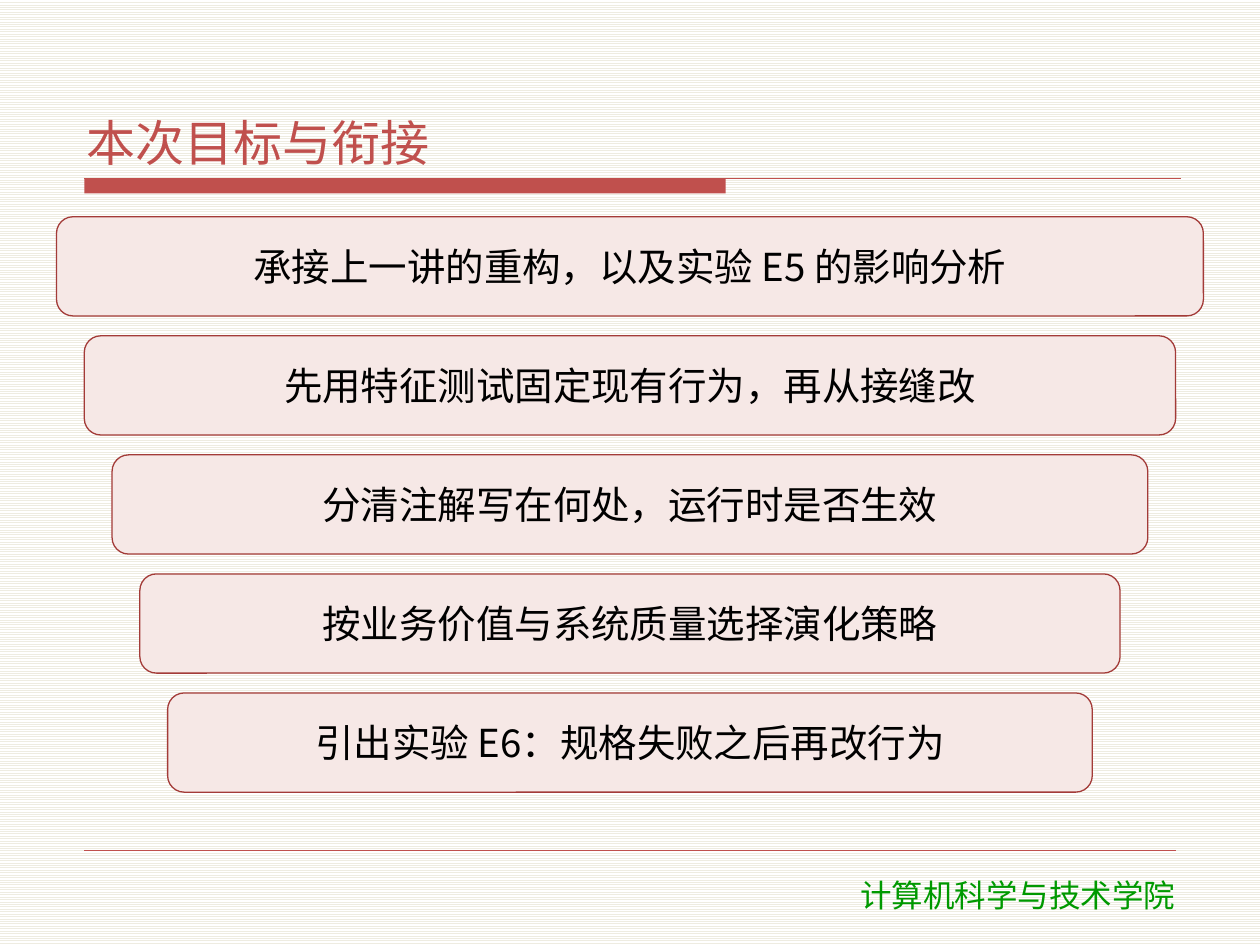
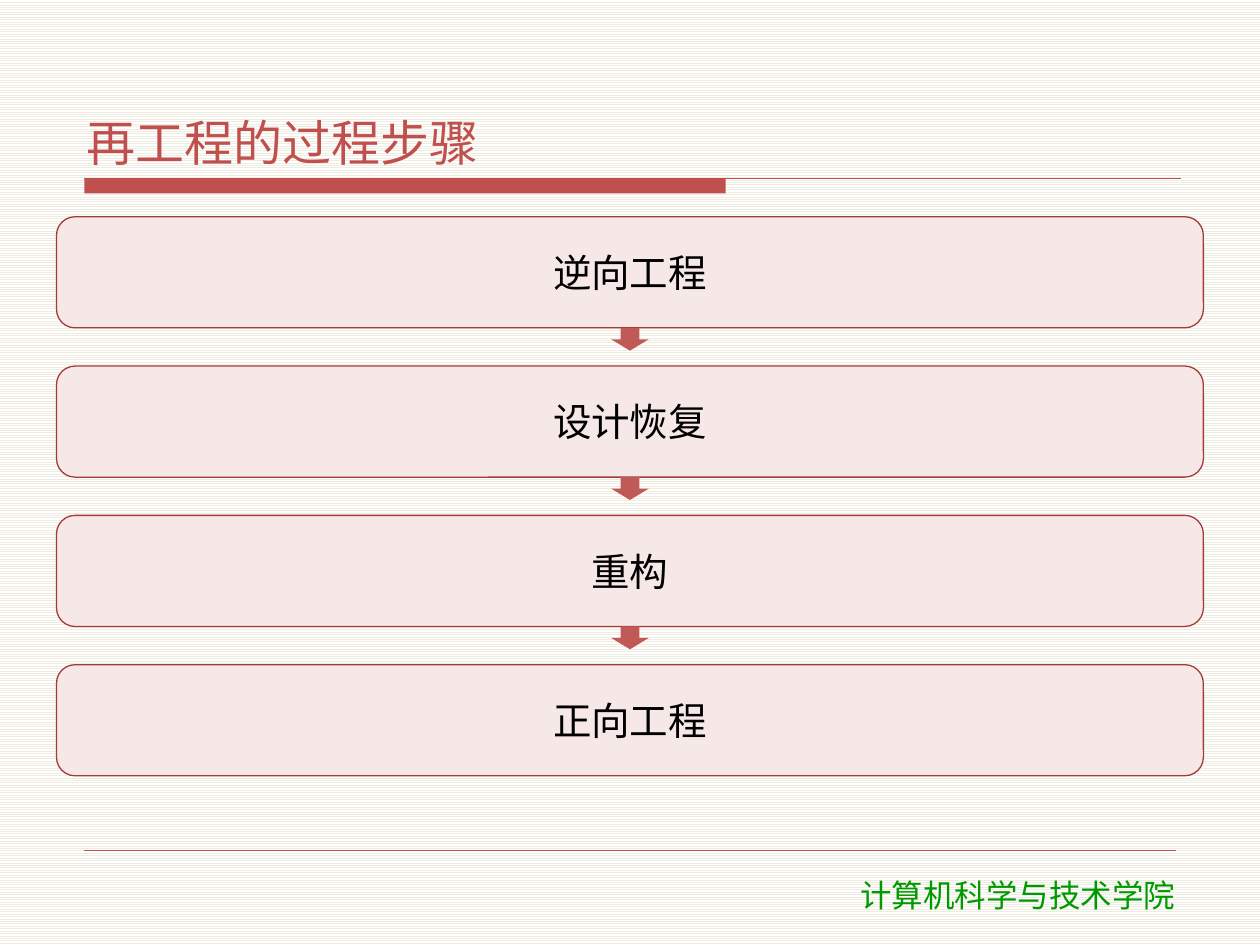
from dataclasses import dataclass

from lxml.etree import SubElement
from pptx import Presentation
from pptx.dml.color import RGBColor
from pptx.enum.dml import MSO_PATTERN
from pptx.enum.shapes import MSO_CONNECTOR, MSO_SHAPE
from pptx.enum.text import MSO_ANCHOR, MSO_AUTO_SIZE, PP_ALIGN
from pptx.oxml.ns import qn
from pptx.presentation import Presentation as Deck
from pptx.shapes.autoshape import Shape
from pptx.slide import Slide
from pptx.text.text import TextFrame
from pptx.util import Cm, Pt

RED = "C0504D"
ARROW_RED = "C05A56"
BORDER_RED = "A33B38"
PALE_RED = "F6E8E6"
GREEN = "009900"
BLACK = "000000"
BODY_FONT = "Noto Sans CJK SC"
FOOTER_FONT = "DejaVu Sans"

SLIDE_WIDTH, SLIDE_HEIGHT = 25.4, 19.05
STACK_TOP, STACK_LEFT = 4.37, 1.14
ARROW_WIDTH, ARROW_HEIGHT = 0.76, 0.46


@dataclass(frozen=True)
class Stack:
    title: str
    labels: tuple[str, ...]
    height: float
    pitch: float
    narrowing: float = 0.0
    arrows: bool = False


@dataclass(frozen=True)
class TextStyle:
    size: int
    color: str
    align: PP_ALIGN
    font: str = BODY_FONT
    space_after: int = 2


TITLE_STYLE = TextStyle(28, RED, PP_ALIGN.LEFT)
LABEL_STYLE = TextStyle(22, BLACK, PP_ALIGN.CENTER)
FOOTER_STYLE = TextStyle(18, GREEN, PP_ALIGN.CENTER, FOOTER_FONT, 0)

STACKS = (
    Stack(
        "本次目标与衔接",
        (
            "承接上一讲的重构，以及实验 E5 的影响分析",
            "先用特征测试固定现有行为，再从接缝改",
            "分清注解写在何处，运行时是否生效",
            "按业务价值与系统质量选择演化策略",
            "引出实验 E6：规格失败之后再改行为",
        ),
        height=2.0,
        pitch=2.4,
        narrowing=0.56,
    ),
    Stack(
        "再工程的过程步骤",
        ("逆向工程", "设计恢复", "重构", "正向工程"),
        height=2.24,
        pitch=3.01,
        arrows=True,
    ),
)


def color(value: str) -> RGBColor:
    return RGBColor.from_string(value)


def write(frame: TextFrame, text: str, style: TextStyle) -> None:
    para = frame.paragraphs[0]
    para.alignment = style.align
    para.space_before = Pt(0)
    para.space_after = Pt(style.space_after)
    span = para.add_run()
    span.text = text
    span.font.name = style.font
    span.font.size = Pt(style.size)
    span.font.color.rgb = color(style.color)
    east_asian = SubElement(span.font._element, qn("a:ea"))
    east_asian.set("typeface", style.font)


def set_frame(frame: TextFrame, anchor: MSO_ANCHOR) -> None:
    frame.word_wrap = True
    frame.auto_size = MSO_AUTO_SIZE.NONE
    frame.vertical_anchor = anchor
    frame.margin_left = frame.margin_right = Cm(0.15)
    frame.margin_top = frame.margin_bottom = Cm(0.05)


def add_box(page: Slide, kind: MSO_SHAPE, left: float, top: float,
            width: float, height: float, fill: str, border: str = "") -> Shape:
    box = page.shapes.add_shape(kind, Cm(left), Cm(top), Cm(width), Cm(height))
    box.shadow.inherit = False
    box.fill.solid()
    box.fill.fore_color.rgb = color(fill)
    if border:
        box.line.color.rgb = color(border)
        box.line.width = Pt(0.75)
    else:
        box.line.fill.background()
    return box


def add_rule(page: Slide, left: float, right: float, top: float, weight: float) -> None:
    rule = page.shapes.add_connector(
        MSO_CONNECTOR.STRAIGHT, Cm(left), Cm(top), Cm(right), Cm(top))
    rule.line.color.rgb = color(RED)
    rule.line.width = Pt(weight)
    SubElement(rule.element.spPr, qn("a:effectLst"))


def add_frame(page: Slide) -> None:
    add_box(page, MSO_SHAPE.RECTANGLE, 1.7, 3.6, 12.93, 0.3, RED)
    add_rule(page, 1.7, 23.8, 3.6, 0.75)
    add_rule(page, 1.7, 23.7, 17.15, 0.25)
    footer = page.shapes.add_textbox(Cm(15.42), Cm(17.53), Cm(10.2), Cm(1.02))
    footer.text_frame.word_wrap = True
    write(footer.text_frame, "计算机科学与技术学院", FOOTER_STYLE)


def add_title(page: Slide, text: str) -> None:
    title = page.shapes.title
    title.left, title.top = Cm(1.6), Cm(0.84)
    title.width, title.height = Cm(22.22), Cm(2.67)
    set_frame(title.text_frame, MSO_ANCHOR.BOTTOM)
    write(title.text_frame, text, TITLE_STYLE)


def add_stack(page: Slide, stack: Stack) -> None:
    for index, label in enumerate(stack.labels):
        left = STACK_LEFT + index * stack.narrowing
        top = STACK_TOP + index * stack.pitch
        box = add_box(page, MSO_SHAPE.ROUNDED_RECTANGLE, left, top,
                      SLIDE_WIDTH - 2 * left, stack.height, PALE_RED, BORDER_RED)
        set_frame(box.text_frame, MSO_ANCHOR.MIDDLE)
        write(box.text_frame, label, LABEL_STYLE)
        if stack.arrows and index < len(stack.labels) - 1:
            add_box(page, MSO_SHAPE.DOWN_ARROW, (SLIDE_WIDTH - ARROW_WIDTH) / 2,
                    top + stack.height, ARROW_WIDTH, ARROW_HEIGHT, ARROW_RED)


def set_background(deck: Deck) -> None:
    fill = deck.slide_master.background.fill
    fill.patterned()
    fill.pattern = MSO_PATTERN.LIGHT_HORIZONTAL
    fill.fore_color.rgb = color("EEECE1")
    fill.back_color.rgb = color("FFFFFF")


def main() -> None:
    deck = Presentation()
    deck.slide_width, deck.slide_height = Cm(SLIDE_WIDTH), Cm(SLIDE_HEIGHT)
    set_background(deck)
    title_only = deck.slide_layouts.get_by_name("Title Only")
    for stack in STACKS:
        page = deck.slides.add_slide(title_only)
        add_frame(page)
        add_title(page, stack.title)
        add_stack(page, stack)
    deck.save("out.pptx")


if __name__ == "__main__":
    main()
